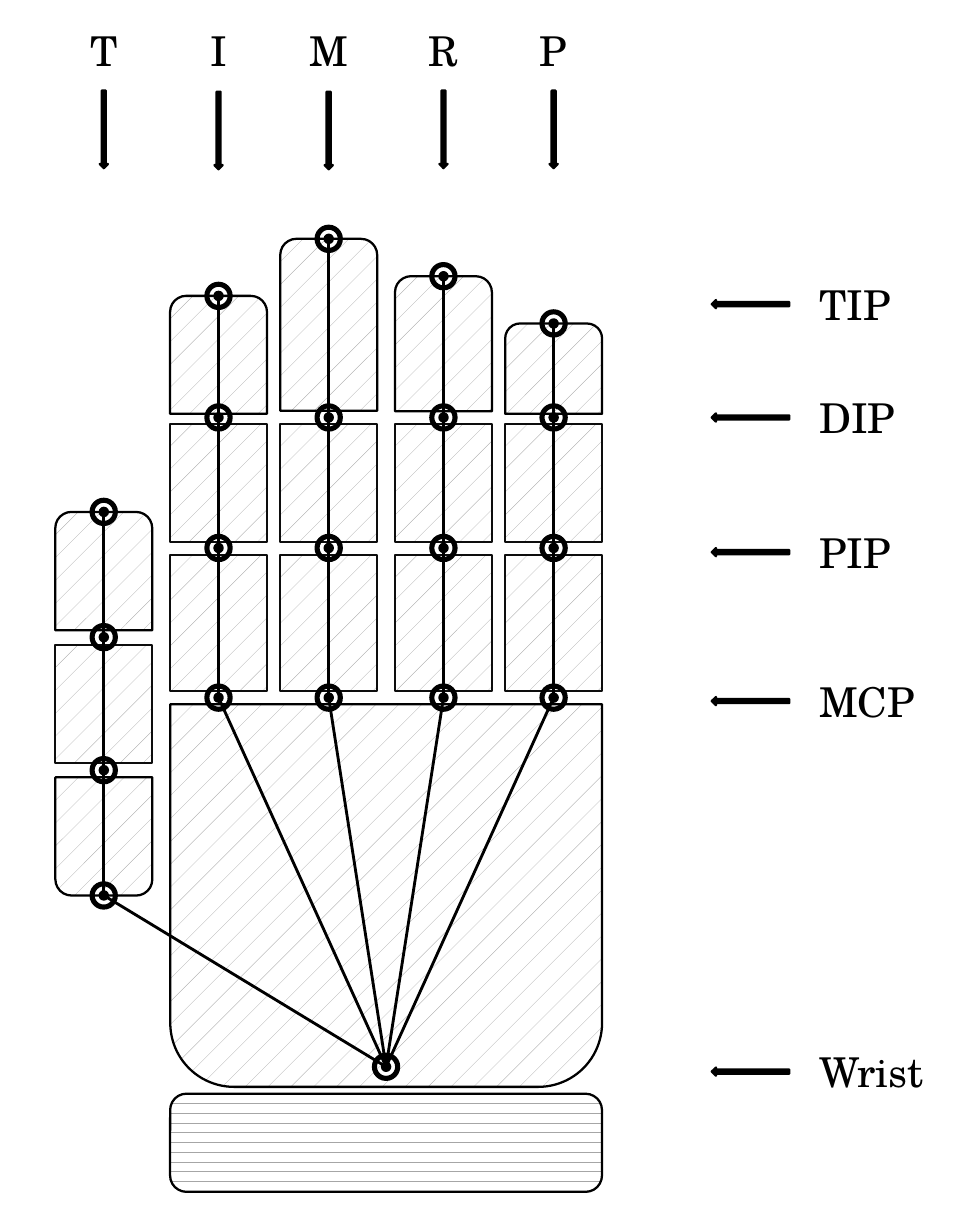
"""Diagram of a hand skeleton with named fingers and joints."""
from collections import namedtuple

from lxml import etree
from pptx import Presentation
from pptx.dml.color import RGBColor
from pptx.enum import dml, shapes, text
from pptx.oxml import ns
from pptx.util import Pt

Box = namedtuple("Box", "left top width height")
Finger = namedtuple("Finger", "name center tip gap_above_dip arrow_top")

FONT = "TeX Gyre Schola"
BLACK, DARK, GREY, WHITE = "000000", "0D0D0D", "A6A6A6", "FFFFFF"
FINGER_WIDTH = 42.5
FINGER_BASE = 303
SHAPE = shapes.MSO_SHAPE
HATCH = dml.MSO_PATTERN.PERCENT_5
STRIPES = dml.MSO_PATTERN.DASHED_HORIZONTAL

THUMB = Finger("T", 45.5, 224.4, 0, 39.7)
FINGERS = [
    Finger("I", 95.8, 129.7, 121.6, 40.2),
    Finger("M", 144.1, 104.7, 122.9, 40.2),
    Finger("R", 194.4, 121.1, 122.7, 39.7),
    Finger("P", 242.7, 141.8, 121.6, 39.7),
]
JOINT_ROWS = {"TIP": 133.3, "DIP": 183, "PIP": 242, "MCP": 307.3, "Wrist": 469.7}


def color(value):
    """Turn a hex string into a colour."""
    return RGBColor.from_string(value)


def add_shape(slide, kind, box, line_width=1, line=BLACK):
    """Add an unfilled outlined preset shape."""
    shape = slide.shapes.add_shape(kind, *map(Pt, box))
    shape.shadow.inherit = False
    shape.fill.background()
    shape.line.color.rgb = color(line)
    shape.line.width = Pt(line_width)
    return shape


def add_solid(slide, kind, box):
    """Add a black shape."""
    shape = add_shape(slide, kind, box)
    shape.fill.solid()
    shape.fill.fore_color.rgb = color(BLACK)
    return shape


def add_patterned(slide, kind, box, pattern=HATCH, line=BLACK):
    """Add a shape with a grey pattern on white."""
    shape = add_shape(slide, kind, box, line=line)
    shape.fill.patterned()
    shape.fill.pattern = pattern
    shape.fill.fore_color.rgb = color(GREY)
    shape.fill.back_color.rgb = color(WHITE)
    return shape


def add_bone(slide, start, end):
    """Join two points with a straight line."""
    bone = slide.shapes.add_connector(
        shapes.MSO_CONNECTOR.STRAIGHT, *map(Pt, (*start, *end)))
    bone.line.color.rgb = color(BLACK)
    bone.line.width = Pt(1.25)
    etree.SubElement(bone.element.spPr, ns.qn("a:effectLst"))


def around(x, y, size):
    """Return the square box centred on a point."""
    return Box(x - size / 2, y - size / 2, size, size)


def add_joint(slide, x, y):
    """Add a ring with a dot at its centre."""
    add_shape(slide, SHAPE.OVAL, around(x, y, 10.2), 2.25)
    add_solid(slide, SHAPE.OVAL, around(x, y, 3.6))


def add_label(slide, box, words, alignment):
    """Add one line of text."""
    label = slide.shapes.add_textbox(*map(Pt, box))
    frame = label.text_frame
    frame.word_wrap = True
    frame.auto_size = text.MSO_AUTO_SIZE.SHAPE_TO_FIT_TEXT
    frame.text = words
    paragraph = frame.paragraphs[0]
    paragraph.alignment = alignment
    font = paragraph.runs[0].font
    font.name, font.size = FONT, Pt(18)
    font.color.rgb = color(BLACK)


def draw_finger(slide, box, phalanges, joints, round_base=False):
    """Draw a finger from (low, high) spans and joint heights above its base.

    Return the point of the lowest joint.
    """
    base = box.top + box.height
    center = box.left + box.width / 2
    last = len(phalanges) - 1
    for index, (low, high) in enumerate(phalanges):
        rounded = index == last or (index == 0 and round_base)
        kind = SHAPE.ROUND_2_SAME_RECTANGLE if rounded else SHAPE.RECTANGLE
        phalanx = add_patterned(
            slide, kind, Box(box.left, base - high, box.width, high - low),
            line=BLACK if rounded else DARK)
        if rounded and index == 0:
            phalanx.rotation = 180
    for height in joints:
        add_joint(slide, center, base - height)
    knuckle = (center, base - joints[0])
    add_bone(slide, (center, box.top), knuckle)
    return knuckle


def finger_box(finger, base):
    """Return the box from fingertip to base."""
    return Box(finger.center - FINGER_WIDTH / 2, finger.tip,
               FINGER_WIDTH, base - finger.tip)


def draw_hand(slide, palm):
    """Draw the palm, wristband and fingers, joined at the wrist."""
    palm_shape = add_patterned(slide, SHAPE.ROUND_2_SAME_RECTANGLE, palm)
    palm_shape.rotation = 180
    band = Box(palm.left, palm.top + palm.height + 3, palm.width, 43)
    add_patterned(slide, SHAPE.ROUNDED_RECTANGLE, band, STRIPES)

    box = finger_box(THUMB, 392.5)
    spans = [(0, 51.8), (57.9, 109.7), (116.2, box.height)]
    knuckles = [draw_finger(slide, box, spans, [0, 54.9, 113.2, box.height], True)]
    for finger in FINGERS:
        box = finger_box(finger, FINGER_BASE)
        spans = [(0, 59.7), (65.3, 117.2), (finger.gap_above_dip, box.height)]
        knuckles.append(
            draw_finger(slide, box, spans, [-2.8, 62.8, 120, box.height]))

    wrist = (palm.left + palm.width / 2, palm.top + palm.height - 8.8)
    for knuckle in knuckles:
        add_bone(slide, knuckle, wrist)
    add_joint(slide, *wrist)


def draw_finger_names(slide, box):
    """Draw a letter and a downward arrow above each finger."""
    for finger in [THUMB, *FINGERS]:
        add_label(slide, Box(finger.center - FINGER_WIDTH / 2, box.top,
                             FINGER_WIDTH, box.height),
                  finger.name, text.PP_ALIGN.CENTER)
        add_solid(slide, SHAPE.DOWN_ARROW,
                  Box(finger.center - 1.8, finger.arrow_top, 3.6, 34))


def draw_joint_names(slide, box):
    """Draw a leftward arrow and a name for each row of joints."""
    for name, y in JOINT_ROWS.items():
        arrow = add_solid(slide, SHAPE.DOWN_ARROW,
                          Box(box.left + 15.2, y - 17, 3.6, 34))
        arrow.rotation = 90
        add_label(slide, Box(box.left + 40, y - 14.4, box.width - 40, 29),
                  name, text.PP_ALIGN.LEFT)


def main():
    """Build and save the slide."""
    presentation = Presentation()
    presentation.slide_width, presentation.slide_height = Pt(425.2), Pt(540)
    slide = presentation.slides.add_slide(presentation.slide_layouts[6])
    draw_hand(slide, Box(74.6, 308.7, 189.3, 167.7))
    draw_finger_names(slide, Box(24, 7.8, 240, 29))
    draw_joint_names(slide, Box(312, 116, 105, 368))
    presentation.save("out.pptx")


main()
